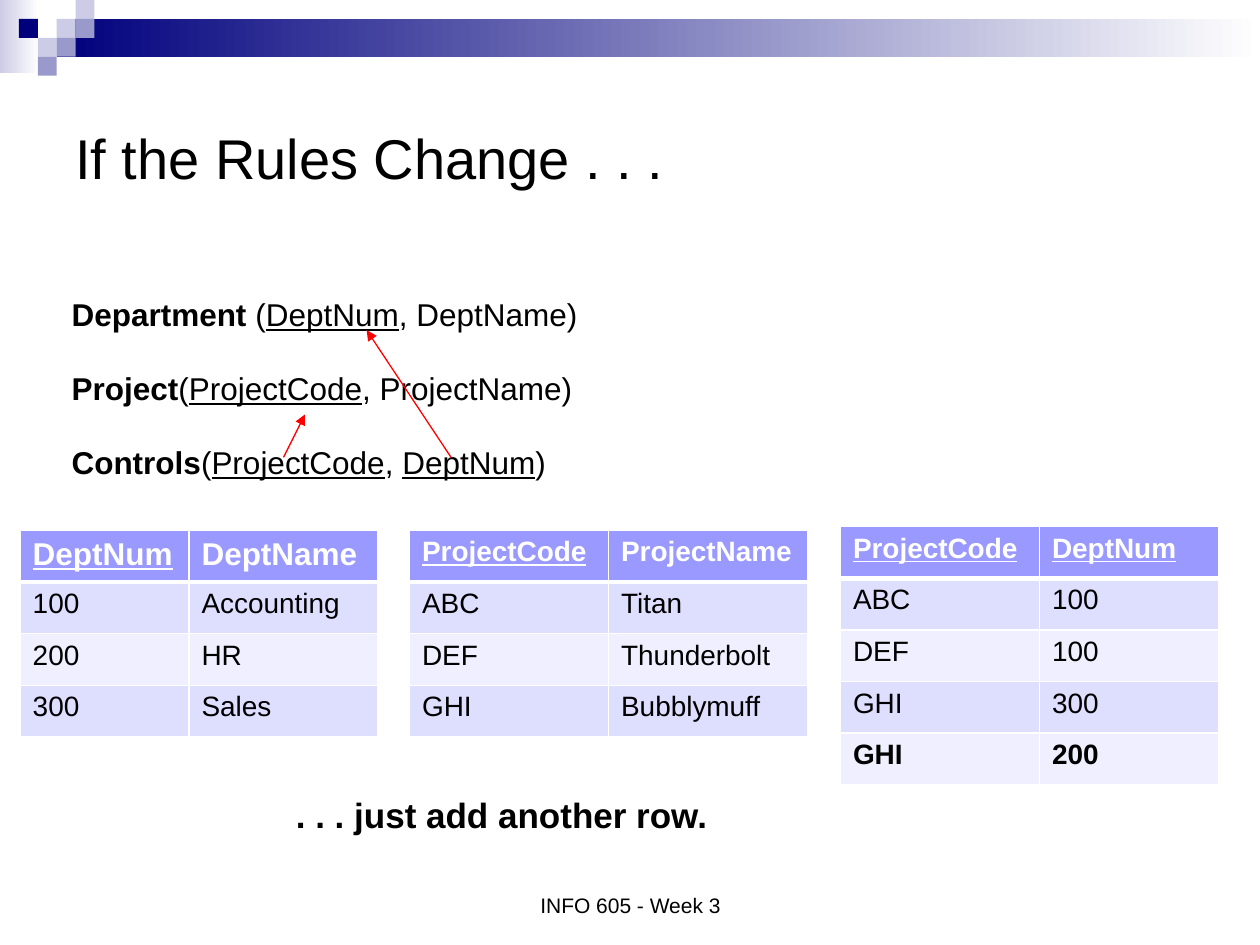
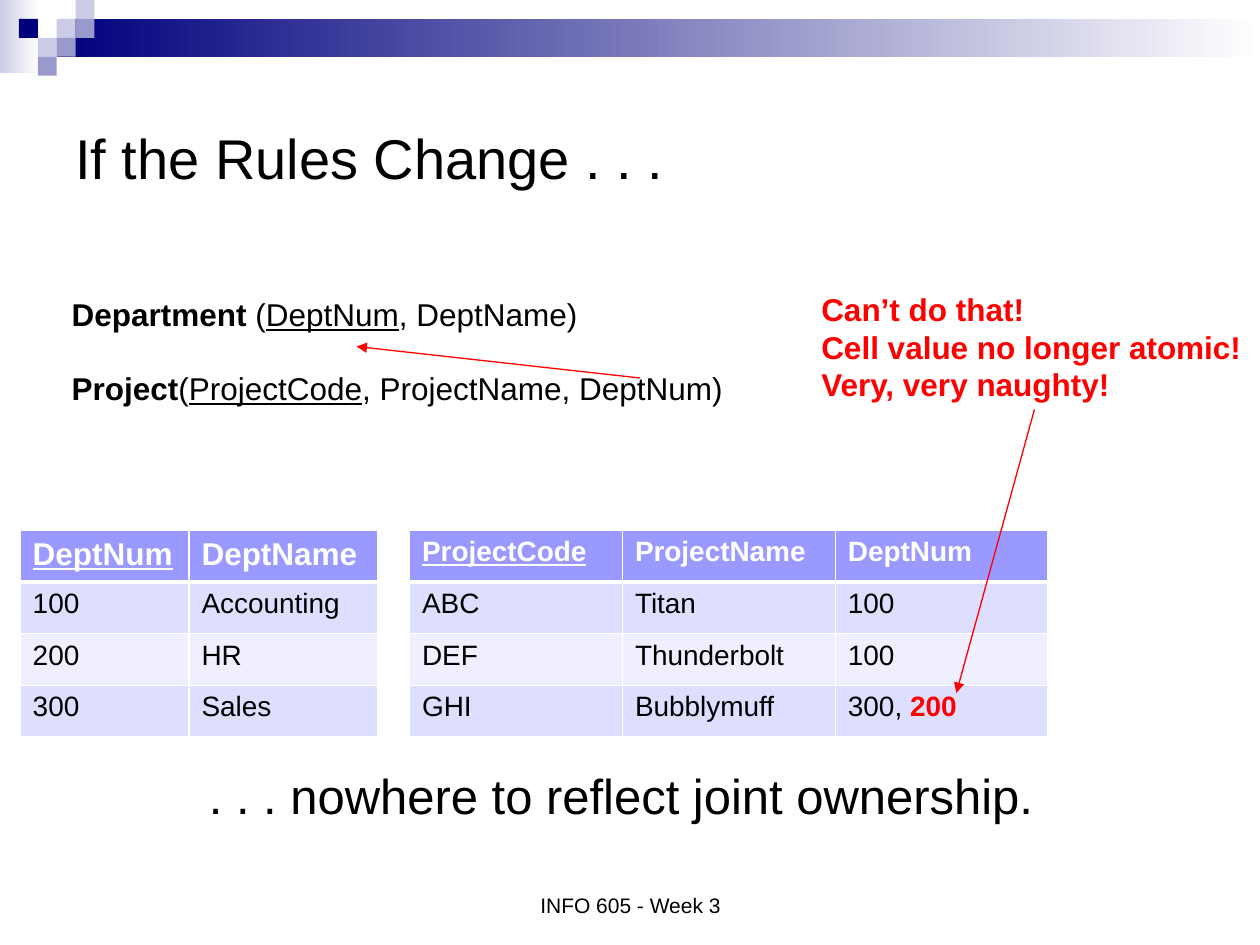
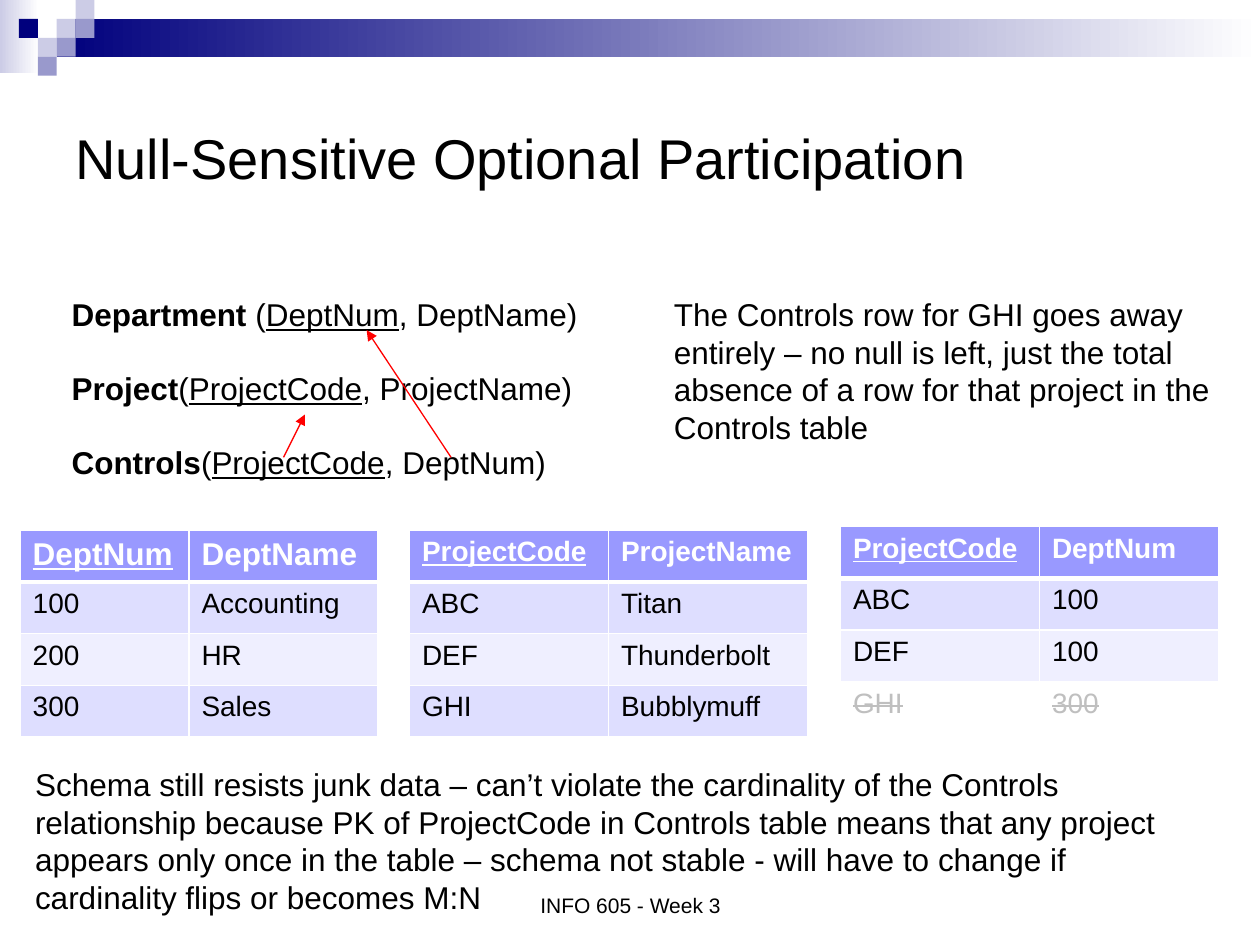
from typing import NamedTuple, Optional, Sequence, Union

import lxml.etree
import pptx
import pptx.dml.color
import pptx.enum.shapes
import pptx.enum.text
import pptx.oxml.ns
import pptx.util

Inches = pptx.util.Inches
Pt = pptx.util.Pt
Anchor = pptx.enum.text.MSO_ANCHOR
Align = pptx.enum.text.PP_ALIGN

FONT = "Arial"
COLORS = {
    "text": "000000",
    "paper": "FFFFFF",
    "alert": "FF0000",
    "faded": "BFBFBF",
    "navy": "00007D",
    "violet": "9999CC",
    "lilac": "CCCCE6",
    "header": "9999FF",
    "odd_row": "DEDEFF",
    "even_row": "EFEFFF",
}
FOOTER = "INFO 605 - Week 3"
SQUARE = 0.15
ROW_HEIGHT = 0.41
BLANK_LINE = 20.7  # height in points of one 18 pt line


# Content types
class Run(NamedTuple):
    text: str
    bold: Optional[bool] = None
    underline: Optional[bool] = None
    strike: bool = False
    color: Optional[str] = None


Line = Union[str, Run, Sequence[Union[str, Run]]]


class Box(NamedTuple):
    left: float
    top: float
    width: float
    height: float


class Square(NamedTuple):
    column: int
    row: int
    color: str


class Arrow(NamedTuple):
    start: tuple[float, float]
    end: tuple[float, float]


class Grid(NamedTuple):
    left: float
    top: float
    widths: Sequence[float]
    header: Sequence[Line]
    rows: Sequence[Sequence[Line]]
    header_size: int = 16
    removed_row: Optional[int] = None


def bold(text: str, color: Optional[str] = None) -> Run:
    return Run(text, bold=True, color=color)


def key(text: str) -> Run:
    return Run(text, underline=True)


def struck(text: str) -> Run:
    return Run(text, strike=True, color="faded")


# Drawing helpers
def rgb(name: str) -> pptx.dml.color.RGBColor:
    return pptx.dml.color.RGBColor.from_string(COLORS[name])


def write_line(paragraph, line: Line, size: float, color: str = "text",
               is_bold: bool = False) -> None:
    paragraph.font.name = FONT
    paragraph.font.size = Pt(size)
    paragraph.font.bold = is_bold
    paragraph.font.color.rgb = rgb(color)
    parts = [line] if isinstance(line, (str, Run)) else line
    for part in parts:
        item = Run(part) if isinstance(part, str) else part
        run = paragraph.add_run()
        run.text = item.text
        if item.bold:
            run.font.bold = True
        if item.underline:
            run.font.underline = True
        if item.color:
            run.font.color.rgb = rgb(item.color)
        if item.strike:
            run.font._element.set("strike", "sngStrike")


def add_text(slide, box: Box, lines: Sequence[Line], size: float, color: str = "text",
             is_bold: bool = False, wrap: bool = True, anchor=Anchor.TOP,
             align=Align.LEFT, gap: float = 0):
    shape = slide.shapes.add_textbox(*map(Inches, box))
    frame = shape.text_frame
    frame.word_wrap = wrap
    frame.vertical_anchor = anchor
    if not wrap:
        frame.auto_size = pptx.enum.text.MSO_AUTO_SIZE.SHAPE_TO_FIT_TEXT
    for index, line in enumerate(lines):
        paragraph = frame.add_paragraph() if index else frame.paragraphs[0]
        paragraph.alignment = align
        if index and gap:
            paragraph.space_before = Pt(gap)
        write_line(paragraph, line, size, color, is_bold)
    return shape


def add_rectangle(slide, box: Box, color: str, fade: bool = False) -> None:
    shape = slide.shapes.add_shape(
        pptx.enum.shapes.MSO_SHAPE.RECTANGLE, *map(Inches, box))
    shape.shadow.inherit = False
    shape.line.fill.background()
    if fade:
        shape.fill.gradient()
        shape.fill.gradient_angle = 0
        for stop, name, position in zip(shape.fill.gradient_stops, (color, "paper"), (0, 1)):
            stop.color.rgb = rgb(name)
            stop.position = position
    else:
        shape.fill.solid()
        shape.fill.fore_color.rgb = rgb(color)


def add_arrow(slide, arrow: Arrow) -> None:
    connector = slide.shapes.add_connector(
        pptx.enum.shapes.MSO_CONNECTOR.STRAIGHT,
        *map(Inches, arrow.start + arrow.end))
    connector.line.color.rgb = rgb("alert")
    connector.line.width = Pt(0.75)
    line = connector.line._get_or_add_ln()
    lxml.etree.SubElement(line, pptx.oxml.ns.qn("a:tailEnd"), type="triangle")
    lxml.etree.SubElement(connector._element.spPr, pptx.oxml.ns.qn("a:effectLst"))


def add_borders(cell, top: float, bottom: float) -> None:
    properties = cell._tc.get_or_add_tcPr()
    for side, width in (("L", 1), ("R", 1), ("T", top), ("B", bottom)):
        border = lxml.etree.SubElement(
            properties, pptx.oxml.ns.qn(f"a:ln{side}"), w=str(Pt(width)))
        fill = lxml.etree.SubElement(border, pptx.oxml.ns.qn("a:solidFill"))
        lxml.etree.SubElement(fill, pptx.oxml.ns.qn("a:srgbClr"), val=COLORS["paper"])


def add_grid(slide, grid: Grid) -> None:
    lines = [grid.header, *grid.rows]
    table = slide.shapes.add_table(
        len(lines), len(grid.widths), Inches(grid.left), Inches(grid.top),
        Inches(sum(grid.widths)), Inches(ROW_HEIGHT * len(lines))).table
    table.first_row = table.horz_banding = False
    for column, width in zip(table.columns, grid.widths):
        column.width = Inches(width)
    for row_index, row in enumerate(lines):
        is_header = row_index == 0
        table.rows[row_index].height = Inches(ROW_HEIGHT)
        fill = "header" if is_header else "odd_row" if row_index % 2 else "even_row"
        for column_index, content in enumerate(row):
            cell = table.cell(row_index, column_index)
            add_borders(cell, top=3 if row_index == 1 else 1, bottom=3 if is_header else 1)
            if row_index == grid.removed_row:
                cell.fill.background()
            else:
                cell.fill.solid()
                cell.fill.fore_color.rgb = rgb(fill)
            write_line(cell.text_frame.paragraphs[0], content,
                       grid.header_size if is_header else 16,
                       "paper" if is_header else "text", is_header)


# Shared slide frame
SQUARES = [
    Square(3, 1, "lilac"), Square(4, 0, "lilac"), Square(4, 1, "violet"),
    Square(2, 2, "lilac"), Square(1, 1, "navy"), Square(3, 2, "violet"),
    Square(2, 3, "violet"),
]


def start_slide(presentation, title: str):
    slide = presentation.slides.add_slide(presentation.slide_layouts[6])
    add_rectangle(slide, Box(0, 0, 0.31, 0.58), "lilac", fade=True)
    add_rectangle(slide, Box(0.45, 0.15, 9.55, 0.3), "navy", fade=True)
    for square in SQUARES:
        add_rectangle(slide, Box(square.column * SQUARE, square.row * SQUARE,
                                 SQUARE, SQUARE), square.color)
    add_text(slide, Box(0.5, 0.5, 9, 1.5), [title], 32, anchor=Anchor.MIDDLE)
    add_text(slide, Box(3.42, 6.83, 3.17, 0.5), [FOOTER], 12,
             anchor=Anchor.BOTTOM, align=Align.CENTER)
    return slide


def add_schema(slide, relations: Sequence[Line], width: float, height: float) -> None:
    add_text(slide, Box(0.47, 2.29, width, height), relations, 18,
             wrap=False, gap=BLANK_LINE)


# Shared schema and data
DEPARTMENT = (bold("Department"), " (", key("DeptNum"), ", DeptName)")
PROJECT = (bold("Project"), "(", key("ProjectCode"), ", ProjectName)")
CONTROLS_START = (bold("Controls"), "(", key("ProjectCode"), ", ")
KEY_ARROWS = [Arrow((2.25, 3.63), (2.42, 3.29)), Arrow((3.58, 3.63), (2.91, 2.62))]

PROJECT_ROWS = [("ABC", "Titan"), ("DEF", "Thunderbolt"), ("GHI", "Bubblymuff")]
CONTROL_ROWS = [("ABC", "100"), ("DEF", "100")]
DEPARTMENT_GRID = Grid(
    0.16, 4.21, (1.34, 1.5), (key("DeptNum"), "DeptName"),
    [("100", "Accounting"), ("200", "HR"), ("300", "Sales")], header_size=18)
PROJECT_GRID = Grid(
    3.25, 4.21, (1.58, 1.58), (key("ProjectCode"), "ProjectName"), PROJECT_ROWS)


def add_controls_design(slide, controls: Line, controls_grid: Grid) -> None:
    add_schema(slide, [DEPARTMENT, PROJECT, controls], 4.26, 1.62)
    for grid in (DEPARTMENT_GRID, PROJECT_GRID, controls_grid):
        add_grid(slide, grid)
    for arrow in KEY_ARROWS:
        add_arrow(slide, arrow)


def controls_grid(department: Line, rows: Sequence[Sequence[Line]],
                  removed_row: Optional[int] = None) -> Grid:
    return Grid(6.67, 4.18, (1.58, 1.42), (key("ProjectCode"), department),
                CONTROL_ROWS + list(rows), removed_row=removed_row)


# Slides
def add_extra_row_slide(presentation) -> None:
    slide = start_slide(presentation, "If the Rules Change . . .")
    add_controls_design(
        slide, (*CONTROLS_START, key("DeptNum"), ")"),
        controls_grid(key("DeptNum"), [("GHI", "300"), (bold("GHI"), bold("200"))]))
    add_text(slide, Box(2.25, 6.25, 3.49, 0.44), [". . . just add another row."], 20,
             is_bold=True, wrap=False)


def add_not_atomic_slide(presentation) -> None:
    slide = start_slide(presentation, "If the Rules Change . . .")
    project = (*PROJECT[:-1], ", ProjectName, DeptNum)")
    add_schema(slide, [DEPARTMENT, project], 5.42, 1.31)
    owners = ["100", "100", ("300, ", bold("200", "alert"))]
    add_grid(slide, DEPARTMENT_GRID)
    add_grid(slide, PROJECT_GRID._replace(
        widths=(1.69,) * 3,
        header=(*PROJECT_GRID.header, "DeptNum"),
        rows=[(*row, owner) for row, owner in zip(PROJECT_ROWS, owners)]))
    add_text(slide, Box(6.42, 2.25, 3.57, 1.01),
             ["Can’t do that!", "Cell value no longer atomic!", "Very, very naughty!"],
             18, "alert", is_bold=True, wrap=False)
    conclusion = add_text(slide, Box(1.56, 6.08, 9.17, 1),
                          [". . . nowhere to reflect joint ownership."], 28)
    paragraph = conclusion.text_frame.paragraphs[0]
    paragraph.line_spacing = 0.9
    paragraph.space_before = Pt(5.6)
    add_arrow(slide, Arrow((5.08, 3), (2.83, 2.75)))
    add_arrow(slide, Arrow((8.21, 3.25), (7.59, 5.5)))


def add_null_sensitive_slide(presentation) -> None:
    slide = start_slide(presentation, "Null-Sensitive Optional Participation")
    add_controls_design(
        slide, (*CONTROLS_START, "DeptNum)"),
        controls_grid("DeptNum", [(struck("GHI"), struck("300"))], removed_row=3))
    add_text(slide, Box(5.25, 2.29, 4.49, 1.31),
             ["The Controls row for GHI goes away",
              "entirely – no null is left, just the total",
              "absence of a row for that project in the",
              "Controls table"], 18, wrap=False)
    add_text(slide, Box(0.18, 6.02, 9.16, 1.31),
             ["Schema still resists junk data – can’t violate the cardinality of the "
              "Controls relationship because PK of ProjectCode in Controls table means "
              "that any project appears only once in the table – schema not stable - "
              "will have to change if cardinality flips or becomes M:N"], 18)


def main() -> None:
    presentation = pptx.Presentation()
    presentation.slide_width = Inches(10)
    presentation.slide_height = Inches(7.5)
    add_extra_row_slide(presentation)
    add_not_atomic_slide(presentation)
    add_null_sensitive_slide(presentation)
    presentation.save("out.pptx")


if __name__ == "__main__":
    main()
